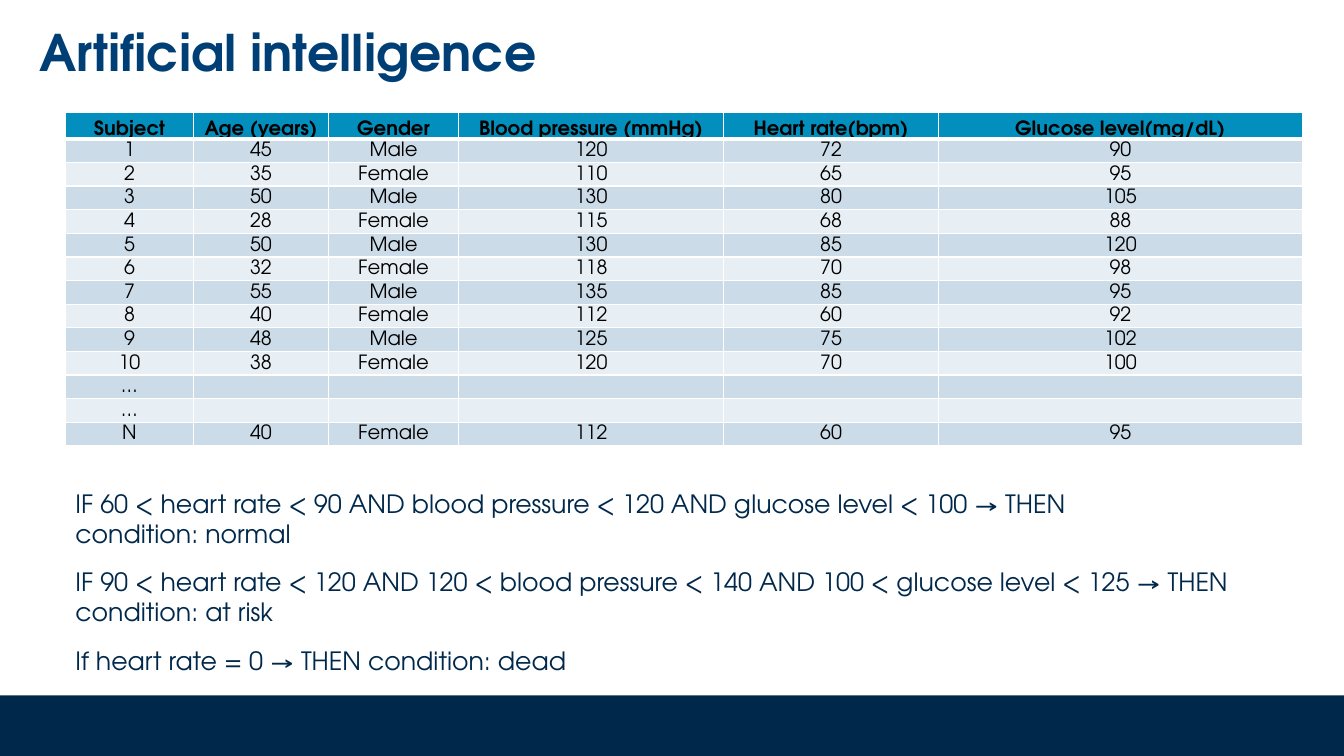
from pptx import Presentation
from pptx.dml.color import RGBColor
from pptx.enum.shapes import MSO_SHAPE
from pptx.enum.text import MSO_ANCHOR, MSO_AUTO_SIZE, PP_ALIGN
from pptx.oxml import parse_xml
from pptx.oxml.ns import nsdecls
from pptx.util import Pt

RECTANGLE = MSO_SHAPE.RECTANGLE
TOP, MIDDLE, BOTTOM = MSO_ANCHOR.TOP, MSO_ANCHOR.MIDDLE, MSO_ANCHOR.BOTTOM
LEFT, CENTER = PP_ALIGN.LEFT, PP_ALIGN.CENTER
NO_AUTOFIT, GROW = MSO_AUTO_SIZE.NONE, MSO_AUTO_SIZE.SHAPE_TO_FIT_TEXT

NAVY = RGBColor(0x00, 0x28, 0x4B)
TITLE_BLUE = RGBColor(0x00, 0x3F, 0x76)
HEADER_BLUE = RGBColor(0x02, 0x8F, 0xBE)
BAND_DARK = RGBColor(0xCC, 0xDB, 0xE8)
BAND_LIGHT = RGBColor(0xE7, 0xEE, 0xF4)
BLACK = RGBColor(0, 0, 0)
WHITE = RGBColor(0xFF, 0xFF, 0xFF)

HEADINGS = ["Subject", "Age (years)", "Gender", "Blood pressure (mmHg)",
            "Heart rate(bpm)", "Glucose level(mg/dL)"]
SUBJECTS = [
    ["1", "45", "Male", "120", "72", "90"],
    ["2", "35", "Female", "110", "65", "95"],
    ["3", "50", "Male", "130", "80", "105"],
    ["4", "28", "Female", "115", "68", "88"],
    ["5", "50", "Male", "130", "85", "120"],
    ["6", "32", "Female", "118", "70", "98"],
    ["7", "55", "Male", "135", "85", "95"],
    ["8", "40", "Female", "112", "60", "92"],
    ["9", "48", "Male", "125", "75", "102"],
    ["10", "38", "Female", "120", "70", "100"],
    ["…", "", "", "", "", ""],
    ["…", "", "", "", "", ""],
    ["N", "40", "Female", "112", "60", "95"],
]
COLUMN_WIDTHS = [91.4, 96.5, 92.9, 189.4, 153.4, 259.9]
HEADER_HEIGHT, ROW_HEIGHT = 18.6, 16.87
# Each rule: top, width, height, wording
RULES = [
    (344.9, 813.6, 51.1, "IF 60 < heart rate < 90 AND blood pressure < 120 AND "
     "glucose level < 100 → THEN condition: normal"),
    (401, 866.9, 51.1, "IF 90 < heart rate < 120 AND 120 < blood pressure < 140 AND "
     "100 < glucose level < 125 → THEN condition: at risk"),
    (457.2, 421.9, 28.8, "If heart rate = 0 → THEN condition: dead"),
]


class SlideBuilder:
    font = "TeX Gyre Adventor"
    cell_size = 14

    def __init__(self, slide):
        self.slide = slide

    def style(self, paragraph, size, color, bold=False, align=LEFT):
        paragraph.alignment = align
        for run in paragraph.runs:
            run.font.name = self.font
            run.font.size = Pt(size)
            run.font.bold = bold
            run.font.color.rgb = color

    def bar(self, left, top, width, height, color):
        bar = self.slide.shapes.add_shape(
            RECTANGLE, Pt(left), Pt(top), Pt(width), Pt(height))
        bar.shadow.inherit = False
        bar.fill.solid()
        bar.fill.fore_color.rgb = color
        bar.line.fill.background()

    def title(self, left, top, width, height, wording):
        title = self.slide.shapes.title
        title.left, title.top = Pt(left), Pt(top)
        title.width, title.height = Pt(width), Pt(height)
        frame = title.text_frame
        frame.text = wording
        frame.auto_size = NO_AUTOFIT
        frame.vertical_anchor = TOP
        frame.paragraphs[0].line_spacing = Pt(40)
        self.style(frame.paragraphs[0], 36, TITLE_BLUE, bold=True)

    def text(self, left, top, width, height, wording):
        box = self.slide.shapes.add_textbox(Pt(left), Pt(top), Pt(width), Pt(height))
        frame = box.text_frame
        frame.word_wrap = True
        frame.auto_size = GROW
        frame.text = wording
        self.style(frame.paragraphs[0], 18, NAVY)

    def borders(self, cell, bottom):
        properties = cell._tc.get_or_add_tcPr()
        for side, width in (("L", 1), ("R", 1), ("T", 1), ("B", bottom)):
            properties.append(parse_xml(
                f'<a:ln{side} {nsdecls("a")} w="{Pt(width)}"><a:solidFill>'
                f'<a:srgbClr val="{WHITE}"/></a:solidFill></a:ln{side}>'))

    def cell(self, cell, wording, fill, header):
        cell.margin_left = cell.margin_right = cell.margin_top = Pt(0.72)
        cell.margin_bottom = Pt(0)
        cell.vertical_anchor = BOTTOM if header else MIDDLE
        self.borders(cell, bottom=3 if header else 1)
        cell.fill.solid()
        cell.fill.fore_color.rgb = fill
        cell.text_frame.text = wording
        paragraph = cell.text_frame.paragraphs[0]
        self.style(paragraph, self.cell_size, BLACK, header, CENTER)
        if not wording:
            # An empty cell needs its own text size to keep the row low
            paragraph._p.append(parse_xml(
                f'<a:endParaRPr {nsdecls("a")} sz="{self.cell_size * 100}">'
                f'<a:latin typeface="{self.font}"/></a:endParaRPr>'))

    def table(self, left, top, rows, widths, heights):
        table = self.slide.shapes.add_table(
            len(rows), len(widths), Pt(left), Pt(top),
            Pt(sum(widths)), Pt(sum(heights))).table
        for column, width in zip(table.columns, widths):
            column.width = Pt(width)
        for r, (values, height) in enumerate(zip(rows, heights)):
            table.rows[r].height = Pt(height)
            band = BAND_DARK if r % 2 else BAND_LIGHT
            for c, value in enumerate(values):
                self.cell(table.cell(r, c), value, band if r else HEADER_BLUE, r == 0)


def main():
    deck = Presentation()
    deck.slide_width, deck.slide_height = Pt(960), Pt(540)
    builder = SlideBuilder(deck.slides.add_slide(deck.slide_layouts[5]))

    # Footer band and title
    builder.bar(0, 496.8, 960, 43.2, NAVY)
    builder.title(20.9, 14.4, 918.7, 85, "Artificial intelligence")

    # Subject measurements
    heights = [HEADER_HEIGHT] + [ROW_HEIGHT] * len(SUBJECTS)
    builder.table(46.8, 80.6, [HEADINGS] + SUBJECTS, COLUMN_WIDTHS, heights)

    # Decision rules
    for top, width, height, wording in RULES:
        builder.text(46.8, top, width, height, wording)

    deck.save("out.pptx")


if __name__ == "__main__":
    main()
